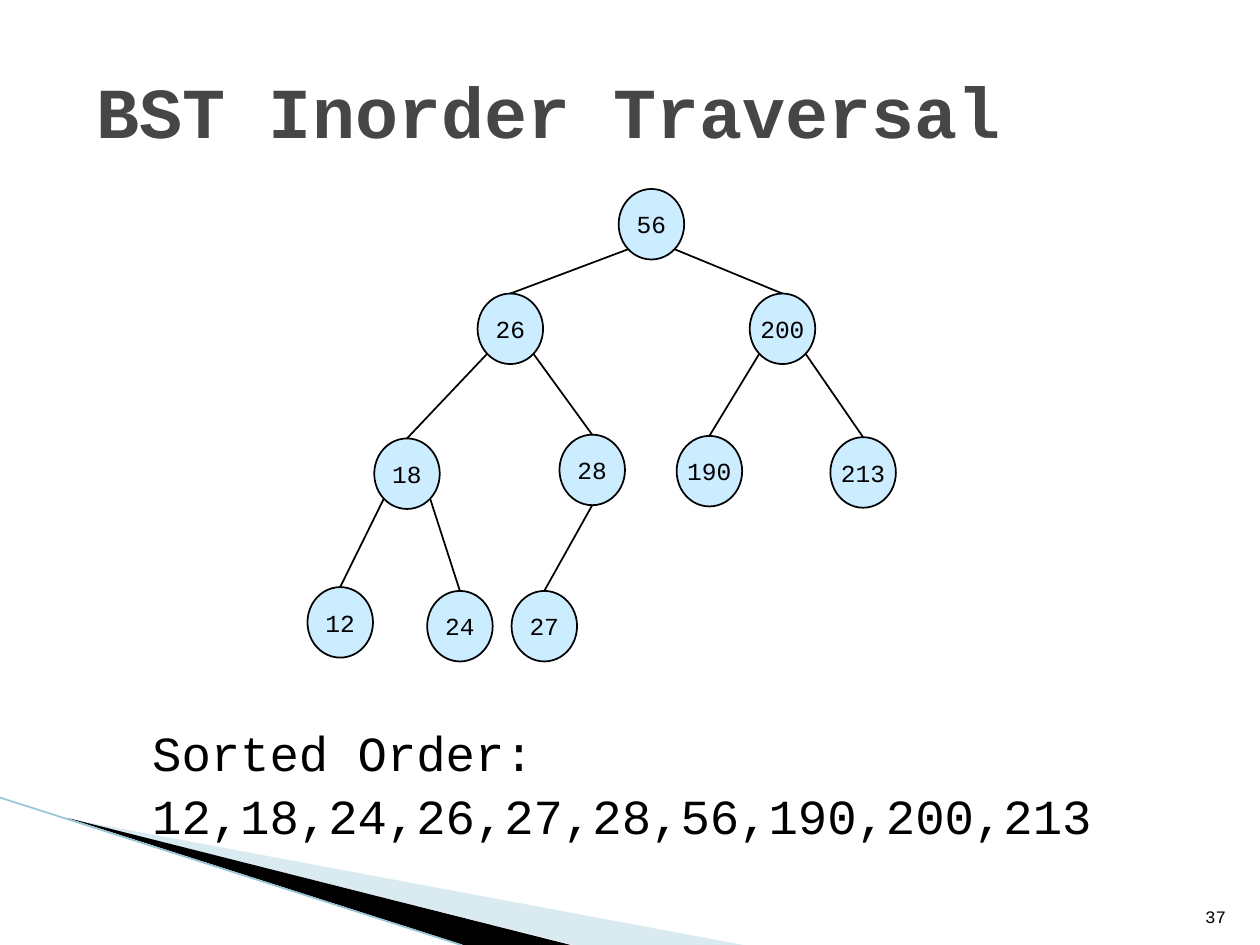
import math
from dataclasses import dataclass

import pptx
import pptx.dml.color
import pptx.enum.shapes
import pptx.enum.text
import pptx.oxml.ns
import pptx.util
from lxml import etree

Inches = pptx.util.Inches
Pt = pptx.util.Pt
Align = pptx.enum.text.PP_ALIGN
Anchor = pptx.enum.text.MSO_ANCHOR
Shapes = pptx.enum.shapes.MSO_SHAPE
qn = pptx.oxml.ns.qn


@dataclass(frozen=True)
class Theme:
    font: str = "Courier New"
    title: str = "464646"
    ink: str = "000000"
    node: str = "CCECFF"
    pale_wedge: str = "A0CBDC"
    stripe: str = "97C5D8"
    title_size: int = 41
    body_size: int = 28
    node_size: int = 14
    number_size: int = 10


NODE_WIDTH, NODE_HEIGHT = 0.52, 0.56
# Directions from a node's centre, in degrees clockwise from the right
TOP, BOTTOM_LEFT, BOTTOM, BOTTOM_RIGHT = 270, 135, 90, 45

NODES = {  # value: (left, top)
    56: (4.91, 1.5),
    26: (3.79, 2.33), 200: (5.95, 2.33),
    18: (2.97, 3.48), 28: (4.44, 3.45), 190: (5.37, 3.46), 213: (6.59, 3.47),
    12: (2.44, 4.66), 24: (3.39, 4.69), 27: (4.06, 4.69),
}
CHILDREN = {56: (26, 200), 26: (18, 28), 200: (190, 213), 18: (12, 24), 28: (27,)}


def rim_point(position, direction):
    """Return the point on a node's outline in the given direction."""
    left, top = position
    angle = math.radians(direction)
    return (left + NODE_WIDTH / 2 * (1 + math.cos(angle)),
            top + NODE_HEIGHT / 2 * (1 + math.sin(angle)))


class SlideBuilder:
    def __init__(self, slide, theme):
        self.slide = slide
        self.theme = theme

    def color(self, value):
        return pptx.dml.color.RGBColor.from_string(value)

    def style_text(self, frame, size, color, align=Align.LEFT, bold=False):
        for paragraph in frame.paragraphs:
            paragraph.alignment = align
            for run in paragraph.runs:
                run.font.name = self.theme.font
                run.font.size = Pt(size)
                run.font.bold = bold
                run.font.color.rgb = self.color(color)

    def text(self, content, box, size, color, anchor, **style):
        frame = self.slide.shapes.add_textbox(*map(Inches, box)).text_frame
        frame.word_wrap = True
        frame.vertical_anchor = anchor
        frame.text = content
        self.style_text(frame, size, color, **style)
        return frame

    def wedge(self, points, color, opacity=None):
        start, *rest = [(Inches(x), Inches(y)) for x, y in points]
        outline = self.slide.shapes.build_freeform(*start)
        outline.add_line_segments(rest, close=True)
        shape = outline.convert_to_shape()
        shape.shadow.inherit = False
        shape.fill.solid()
        shape.fill.fore_color.rgb = self.color(color)
        shape.line.fill.background()
        if opacity is not None:
            fill = shape.fill._xPr.find(qn("a:solidFill"))
            etree.SubElement(fill[0], qn("a:alpha"), val=str(opacity * 1000))

    def line(self, start, end, color, width):
        connector = self.slide.shapes.add_connector(
            pptx.enum.shapes.MSO_CONNECTOR.STRAIGHT, *map(Inches, (*start, *end)))
        connector.line.color.rgb = self.color(color)
        connector.line.width = Pt(width)
        etree.SubElement(connector._element.spPr, qn("a:effectLst"))

    def node(self, value, left, top):
        shape = self.slide.shapes.add_shape(
            Shapes.OVAL, *map(Inches, (left, top, NODE_WIDTH, NODE_HEIGHT)))
        shape.shadow.inherit = False
        shape.fill.solid()
        shape.fill.fore_color.rgb = self.color(self.theme.node)
        shape.line.color.rgb = self.color(self.theme.ink)
        shape.line.width = Pt(1)
        frame = shape.text_frame
        frame.word_wrap = False
        frame.vertical_anchor = Anchor.MIDDLE
        frame.text = str(value)
        self.style_text(frame, self.theme.node_size, self.theme.ink, Align.CENTER)

    def tree(self, positions, children):
        for value, position in positions.items():
            self.node(value, *position)
        for parent, below in children.items():
            directions = (BOTTOM_LEFT, BOTTOM_RIGHT) if len(below) == 2 else (BOTTOM,)
            for direction, child in zip(directions, below):
                self.line(rim_point(positions[parent], direction),
                          rim_point(positions[child], TOP), self.theme.ink, 1)


def main():
    presentation = pptx.Presentation()
    presentation.slide_width = Inches(10)
    presentation.slide_height = Inches(7.5)
    theme = Theme()
    builder = SlideBuilder(
        presentation.slides.add_slide(presentation.slide_layouts[6]), theme)

    builder.wedge([(0.55, 6.5), (5.9, 7.5), (4.55, 7.5)], theme.pale_wedge, opacity=40)
    builder.wedge([(0.53, 6.49), (4.53, 7.5), (3.68, 7.5)], theme.ink)
    builder.line((0, 6.33), (3.66, 7.5), theme.stripe, 0.95)

    builder.text("BST Inorder Traversal", (0.67, 0.25, 8.58, 1.25),
                 theme.title_size, theme.title, Anchor.MIDDLE, bold=True)
    builder.tree(NODES, CHILDREN)

    sorted_values = ",".join(str(value) for value in sorted(NODES))
    order = builder.text(f"Sorted Order:\n{sorted_values}", (1.11, 5.7, 8.14, 1),
                         theme.body_size, theme.ink, Anchor.BOTTOM)
    order.margin_bottom = 0
    order.paragraphs[1].space_before = Pt(2.5)

    builder.text("37", (8.5, 6.83, 1.33, 0.58), theme.number_size, theme.ink,
                 Anchor.BOTTOM, align=Align.RIGHT)
    presentation.save("out.pptx")


if __name__ == "__main__":
    main()
